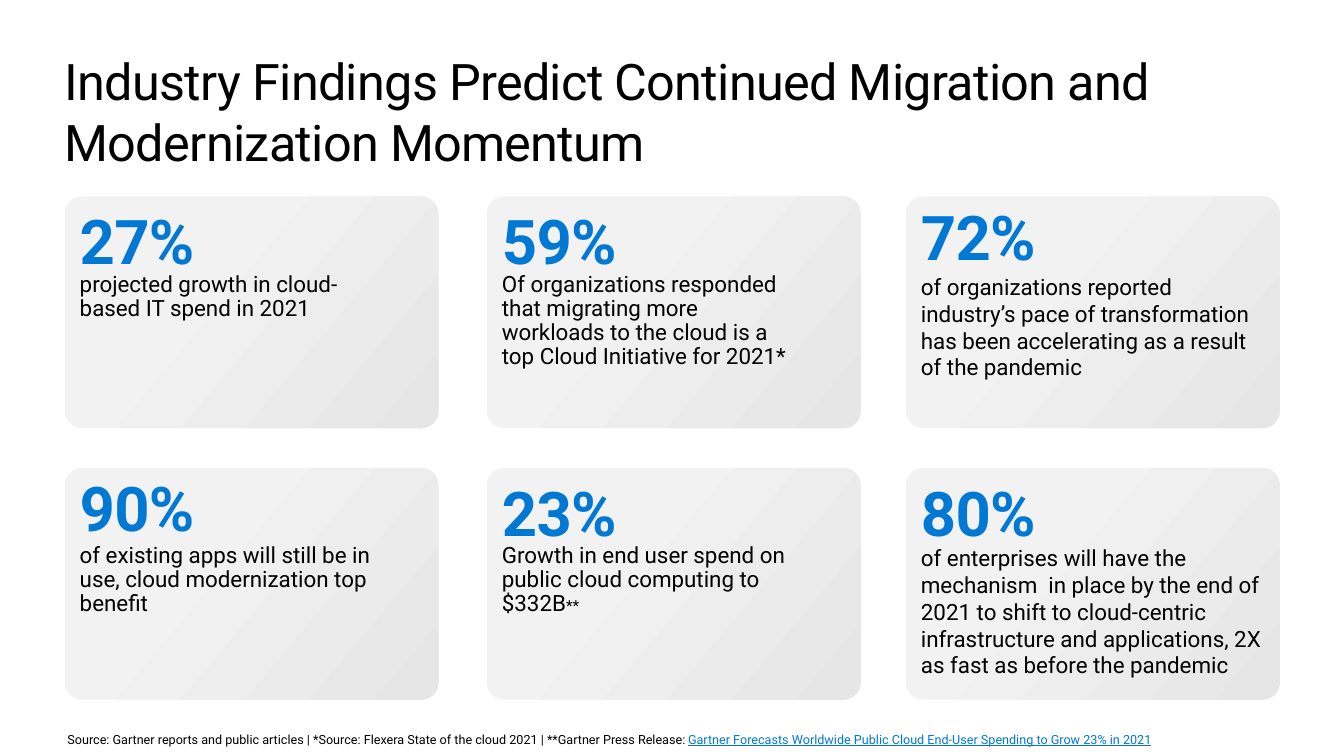
from dataclasses import dataclass
import pptx
import pptx.dml.color
import pptx.enum.shapes
import pptx.enum.text
import pptx.util

Cm = pptx.util.Cm
Pt = pptx.util.Pt
Fit = pptx.enum.text.MSO_AUTO_SIZE
Anchor = pptx.enum.text.MSO_ANCHOR

BLACK, BLUE = "000000", "0078D4"
LEFTS = (1.63, 12.27, 22.83)
TOPS = (4.95, 11.79)
FIG_TOPS = (4.85, 11.84)
NOTE_TOPS = (6.63, 13.46)
WIDE, HIGH = 9.42, 5.84
INSET = 0.13


@dataclass
class Card:
    figure: str
    fig_size: tuple[float, float]
    note: str
    note_size: tuple[float, float]
    pitch: float | None = 0.9
    mark: str = ""


CARDS = (
    Card("27%", (3.61, 2.39), "projected growth in cloud-based IT spend in 2021", (8.36, 1.75)),
    Card("59%", (6.25, 2.39),
         "Of organizations responded that migrating more workloads to the cloud "
         "is a top Cloud Initiative for 2021*", (8.15, 2.97)),
    Card("72%", (3.61, 2.21),
         "of organizations reported industry’s pace of transformation has been "
         "accelerating as a result of the pandemic", (9.12, 1.65), None),
    Card("90%", (3.1, 1.88),
         "of existing apps will still be in use, cloud modernization top benefit", (8.53, 2.36)),
    Card("23%", (7.47, 2.13),
         "Growth in end user spend on public cloud computing to $332B", (8.79, 2.36), mark="**"),
    Card("80%", (5.46, 2.13),
         "of enterprises will have the mechanism  in place by the end of 2021 to shift to "
         "cloud-centric infrastructure and applications, 2X as fast as before the pandemic",
         (9.45, 3.94), None),
)


def paint(item, shade: str) -> None:
    item.rgb = pptx.dml.color.RGBColor.from_string(shade)


def add_run(para, text: str, size: float, shade: str = BLACK,
            bold: bool = False, tight: bool = False, line: bool = False) -> None:
    run = para.add_run()
    run.text = text
    font = run.font
    font.name, font.size = "Roboto", Pt(size)
    font.bold, font.underline = bold, line
    paint(font.color, shade)
    if tight:
        run._r.get_or_add_rPr().set("spc", "-50")


def set_frame(shape, inset: float, wrap: bool, fit, anchor=Anchor.TOP):
    frame = shape.text_frame
    frame.margin_left = frame.margin_right = Cm(inset)
    frame.margin_top = frame.margin_bottom = Cm(inset)
    frame.word_wrap, frame.auto_size = wrap, fit
    frame.vertical_anchor = anchor
    return frame.paragraphs[0]


def add_box(slide, left: float, top: float, size: tuple[float, float]):
    return slide.shapes.add_textbox(Cm(left), Cm(top), Cm(size[0]), Cm(size[1]))


def add_panel(slide, left: float, top: float) -> None:
    kind = pptx.enum.shapes.MSO_SHAPE.ROUNDED_RECTANGLE
    panel = slide.shapes.add_shape(kind, Cm(left), Cm(top), Cm(WIDE), Cm(HIGH))
    panel.adjustments[0] = 0.075
    panel.shadow.inherit = False
    panel.line.fill.background()
    panel.fill.gradient()
    panel.fill.gradient_angle = 320
    for stop, (place, shade) in zip(panel.fill.gradient_stops, ((0.32, "F2F2F2"), (1, "E6E6E6"))):
        stop.position = place
        paint(stop.color, shade)


def add_card(slide, card: Card, row: int, col: int) -> None:
    left = LEFTS[col] + INSET
    add_panel(slide, LEFTS[col], TOPS[row])
    box = add_box(slide, left, FIG_TOPS[row], card.fig_size)
    para = set_frame(box, 0.25, False, Fit.NONE, Anchor.MIDDLE)
    add_run(para, card.figure, 44, BLUE, bold=True, tight=True)
    box = add_box(slide, left, NOTE_TOPS[row], card.note_size)
    fit = Fit.NONE if card.figure == "72%" else Fit.SHAPE_TO_FIT_TEXT
    para = set_frame(box, 0.25, True, fit)
    para.line_spacing = card.pitch
    add_run(para, card.note, 16)
    if card.mark:
        add_run(para, card.mark, 11)


def add_title(slide) -> None:
    title = slide.shapes.title
    title.left, title.top = Cm(1.63), Cm(1.27)
    title.width, title.height = Cm(30.61), Cm(1.55)
    para = set_frame(title, 0, True, Fit.SHAPE_TO_FIT_TEXT)
    para.alignment = pptx.enum.text.PP_ALIGN.LEFT
    add_run(para, "Industry Findings Predict Continued Migration and Modernization Momentum",
            36, tight=True)


def add_source(slide) -> None:
    box = add_box(slide, 1.7, 18.44, (30.58, 0.38))
    para = set_frame(box, 0, True, Fit.SHAPE_TO_FIT_TEXT)
    add_run(para, "Source: Gartner reports and public articles | *Source: Flexera State of "
            "the cloud 2021 | **Gartner Press Release: ", 9)
    add_run(para, "Gartner Forecasts Worldwide Public Cloud End-User Spending to Grow 23% in 2021",
            9, BLUE, line=True)


def main() -> None:
    deck = pptx.Presentation()
    deck.slide_width, deck.slide_height = Cm(33.87), Cm(19.05)
    slide = deck.slides.add_slide(deck.slide_layouts[5])
    add_title(slide)
    for index, card in enumerate(CARDS):
        add_card(slide, card, *divmod(index, len(LEFTS)))
    add_source(slide)
    deck.save("out.pptx")


if __name__ == "__main__":
    main()
